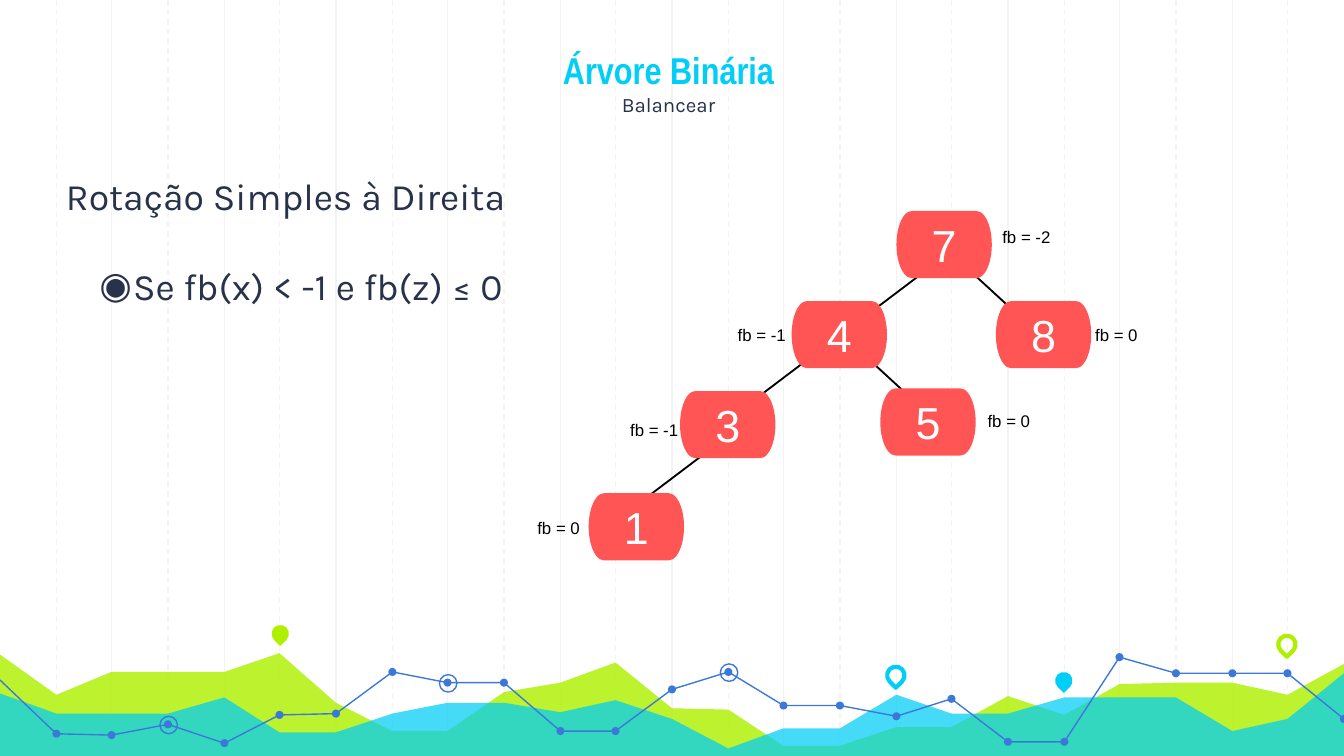
from lxml import etree
from pptx import Presentation
from pptx.dml.color import RGBColor
from pptx.enum.dml import MSO_LINE
from pptx.enum.shapes import MSO_CONNECTOR, MSO_SHAPE
from pptx.enum.text import MSO_ANCHOR, MSO_AUTO_SIZE, PP_ALIGN
from pptx.oxml.ns import qn
from pptx.util import Pt

PX = 9144  # EMU per px, 100 px to the inch
W = 1000
FLOOR = 565  # lower end of the grid and the areas
COLORS = {"grid": "F3F3F3", "lime": "AFF000", "cyan": "00CEF6", "blue": "3C78D8",
          "node": "FF5555", "ink": "28324A", "black": "000000", "white": "FFFFFF"}
CENTER, JUSTIFY = PP_ALIGN.CENTER, PP_ALIGN.JUSTIFY
TOP, MIDDLE, BOTTOM = MSO_ANCHOR.TOP, MSO_ANCHOR.MIDDLE, MSO_ANCHOR.BOTTOM
NO_FIT, GROW = MSO_AUTO_SIZE.NONE, MSO_AUTO_SIZE.SHAPE_TO_FIT_TEXT
STRAIGHT, DASH = MSO_CONNECTOR.STRAIGHT, MSO_LINE.DASH
OVAL, DROP, TERMINATOR = MSO_SHAPE.OVAL, MSO_SHAPE.TEAR, MSO_SHAPE.FLOWCHART_TERMINATOR

# Heights of the two areas and the trend line at each of the 25 grid positions
COLUMNS = 24
LIME_AREA = [487, 517, 500, 500, 500, 486, 523, 544, 544, 515, 508, 493, 527,
             528, 555, 555, 541, 541, 518, 532, 509, 508, 508, 517, 494]
CYAN_AREA = [516, 531, 531, 531, 519, 545, 545, 531, 523, 523, 530, 521, 535,
             557, 542, 542, 517, 531, 531, 519, 519, 519, 544, 535, 501]
TREND = [506, 546, 547, 539, 553, 532, 531, 500, 508, 508, 544, 544, 513,
         500, 525, 525, 533, 520, 552, 552, 489, 501, 501, 501, 535]
RINGED = [8, 3, 13]
PINS = [(202, 465, "lime", True), (660, 496, "cyan", False),
        (785, 500, "cyan", True), (951, 473, "lime", False)]

# Tree: node and label corners, and the upper ends of the edges
NODES = [("7", 667, 157), ("4", 589, 224), ("8", 741, 224),
         ("5", 655, 289), ("3", 506, 291), ("1", 438, 367)]
FACTORS = [("fb = -2", 736, 164), ("fb = 0", 805, 237), ("fb = 0", 390, 380),
           ("fb = -1", 539, 237), ("fb = -1", 459, 307), ("fb = 0", 725, 301)]
LEFT_EDGES = [(688, 202), (599, 269), (525, 337)]
RIGHT_EDGES = [(719, 199), (645, 266)]


def rgb(name):
    return RGBColor.from_string(COLORS[name])


def grid_x(i):
    return round(W * i / COLUMNS)


def add_text(p, text, size=9, font="Arial", color="black", bold=False, align=None):
    r = p.add_run()
    r.text = text
    r.font.size, r.font.name, r.font.bold = Pt(size), font, bold
    r.font.color.rgb = rgb(color)
    if align is not None:
        p.alignment = align


class Deck:
    def __init__(self):
        self.prs = Presentation()
        self.prs.slide_width, self.prs.slide_height = W * PX, W * PX * 9 // 16
        self.s = self.prs.slides.add_slide(self.prs.slide_layouts[1])

    def style(self, sp, fill=None, line=None, width=0.75, alpha=None):
        sp.shadow.inherit = False
        if fill:
            sp.fill.solid()
            sp.fill.fore_color.rgb = rgb(fill)
            if alpha:
                clr = sp.element.spPr.find(f"{qn('a:solidFill')}/{qn('a:srgbClr')}")
                etree.SubElement(clr, qn("a:alpha"), val=str(alpha * 1000))
        else:
            sp.fill.background()
        if line:
            sp.line.color.rgb, sp.line.width = rgb(line), Pt(width)
        else:
            sp.line.fill.background()
        return sp

    def line(self, x1, y1, x2, y2, color, width=0.75, dash=None):
        c = self.s.shapes.add_connector(STRAIGHT, x1 * PX, y1 * PX, x2 * PX, y2 * PX)
        c.line.color.rgb, c.line.width = rgb(color), Pt(width)
        if dash:
            c.line.dash_style = dash
        etree.SubElement(c.element.spPr, qn("a:effectLst"))

    def shape(self, kind, x, y, w, h, **look):
        return self.style(self.s.shapes.add_shape(kind, x * PX, y * PX, w * PX, h * PX), **look)

    def outline(self, points, close=False, **look):
        fb = self.s.shapes.build_freeform(*points[0], scale=PX)
        fb.add_line_segments(points[1:], close=close)
        return self.style(fb.convert_to_shape(), **look)

    def node(self, text, x, y):
        tf = self.shape(TERMINATOR, x, y, 71, 50, fill="node").text_frame
        tf.vertical_anchor = MIDDLE
        add_text(tf.paragraphs[0], text, size=24, color="white", align=CENTER)

    def label(self, text, x, y):
        tf = self.s.shapes.add_textbox(x * PX, y * PX, 63 * PX, 25 * PX).text_frame
        tf.word_wrap, tf.auto_size = True, GROW
        add_text(tf.paragraphs[0], text)

    def placeholder(self, idx, x, y, w, h, anchor):
        sp = self.s.placeholders[idx]
        sp.left, sp.top, sp.width, sp.height = x * PX, y * PX, w * PX, h * PX
        sp.element.getparent().append(sp.element)  # bring to front
        tf = sp.text_frame
        tf.margin_left = tf.margin_right = tf.margin_top = tf.margin_bottom = 10 * PX
        tf.word_wrap, tf.auto_size, tf.vertical_anchor = True, NO_FIT, anchor
        return tf

    def list_item(self, p, text, before=0, bullet=None):
        add_text(p, text, size=20, font="Karla", color="ink", align=JUSTIFY)
        p.line_spacing, p.space_before = 1.0, Pt(before)
        pPr = p._p.get_or_add_pPr()
        pPr.set("marL", str(50 * PX if bullet else 0))
        pPr.set("indent", str(-25 * PX if bullet else 0))
        if bullet:
            clr = etree.SubElement(pPr, qn("a:buClr"))
            etree.SubElement(clr, qn("a:srgbClr"), val=COLORS["ink"])
            etree.SubElement(pPr, qn("a:buChar"), char=bullet)
        else:
            etree.SubElement(pPr, qn("a:buNone"))


def main():
    d = Deck()

    # Background grid: solid lines on even columns, dashed on odd ones
    for first, dash in ((2, None), (1, DASH)):
        for i in range(first, COLUMNS, 2):
            d.line(grid_x(i), 0, grid_x(i), FLOOR, "grid", dash=dash)

    # Areas along the bottom
    for heights, color, alpha in ((LIME_AREA, "lime", 82), (CYAN_AREA, "cyan", 73)):
        top = [(grid_x(i), y) for i, y in enumerate(heights)]
        d.outline(top + [(W, FLOOR), (0, FLOOR)], close=True, fill=color, alpha=alpha)

    # Trend line with dots, rings and pins
    trend = [(grid_x(i), y) for i, y in enumerate(TREND)]
    d.outline(trend, line="blue")
    for x, y in trend[1:]:
        d.shape(OVAL, x - 3, y - 3, 6, 6, fill="blue")
    for i in RINGED:
        x, y = trend[i]
        d.shape(OVAL, x - 6, y - 6, 13, 13, line="blue")
    for x, y, color, filled in PINS:
        look = {"fill": color} if filled else {"line": color, "width": 2.25}
        d.shape(DROP, x, y, 13, 13, **look).rotation = 135

    # Title and subtitle
    p = d.placeholder(0, 115, 19, 765, 78, BOTTOM).paragraphs[0]
    add_text(p, "Árvore Binária", size=20, font="Arial Narrow", color="cyan",
             bold=True, align=CENTER)
    p.add_line_break()
    add_text(p, "Balancear", size=11, font="Karla", color="ink")

    # Rotation rule
    tf = d.placeholder(1, 39, 119, 430, 164, TOP)
    d.list_item(tf.paragraphs[0], "Rotação Simples à Direita")
    d.list_item(tf.add_paragraph(), "Se fb(x) < -1 e fb(z) ≤ 0", before=24, bullet="◉")

    # Binary tree
    for starts, dx, dy in ((LEFT_EDGES, -41, 31), (RIGHT_EDGES, 37, 34)):
        for x, y in starts:
            d.line(x, y, x + dx, y + dy, "black", width=1)
    for node in NODES:
        d.node(*node)
    for factor in FACTORS:
        d.label(*factor)

    d.prs.save("out.pptx")


if __name__ == "__main__":
    main()
